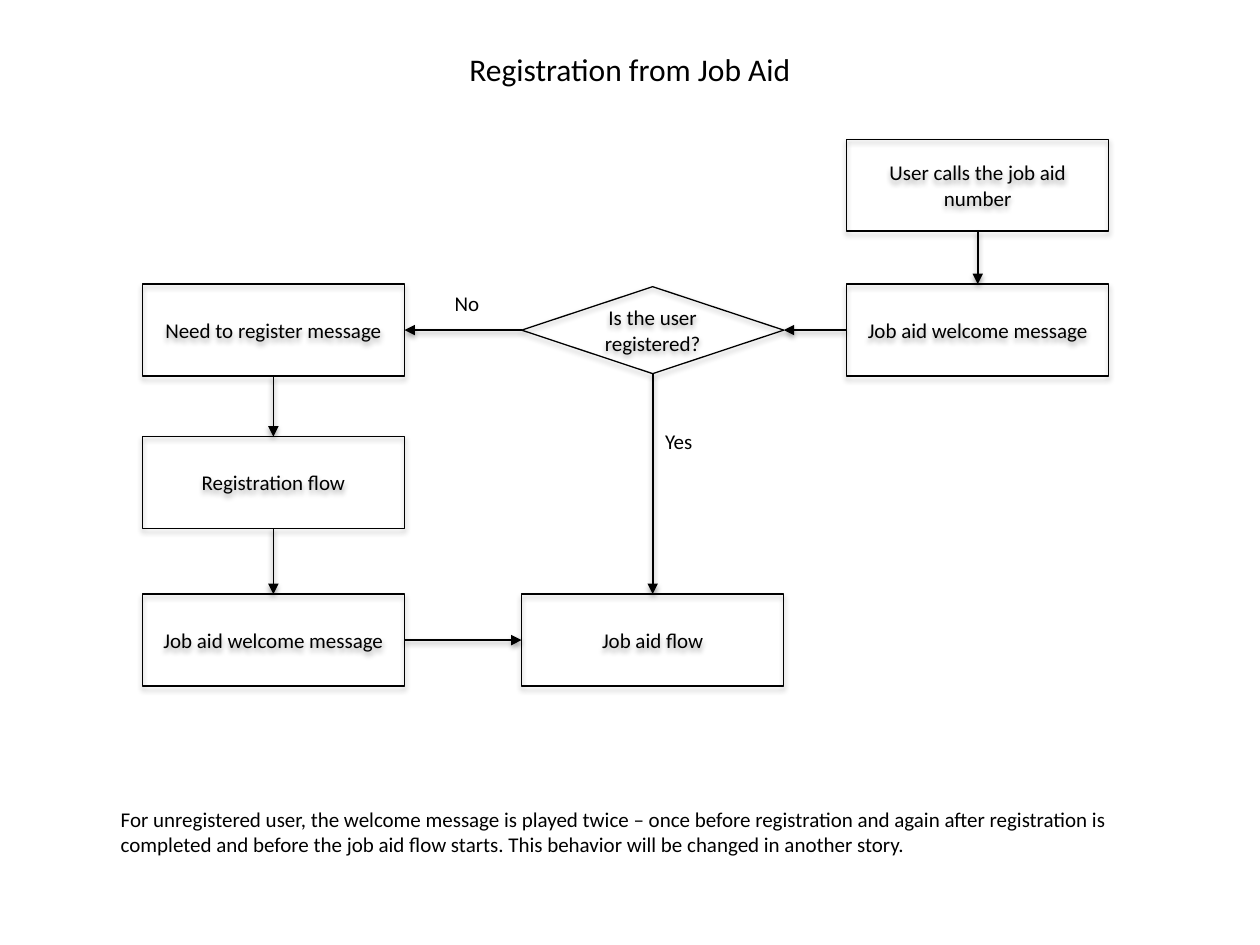
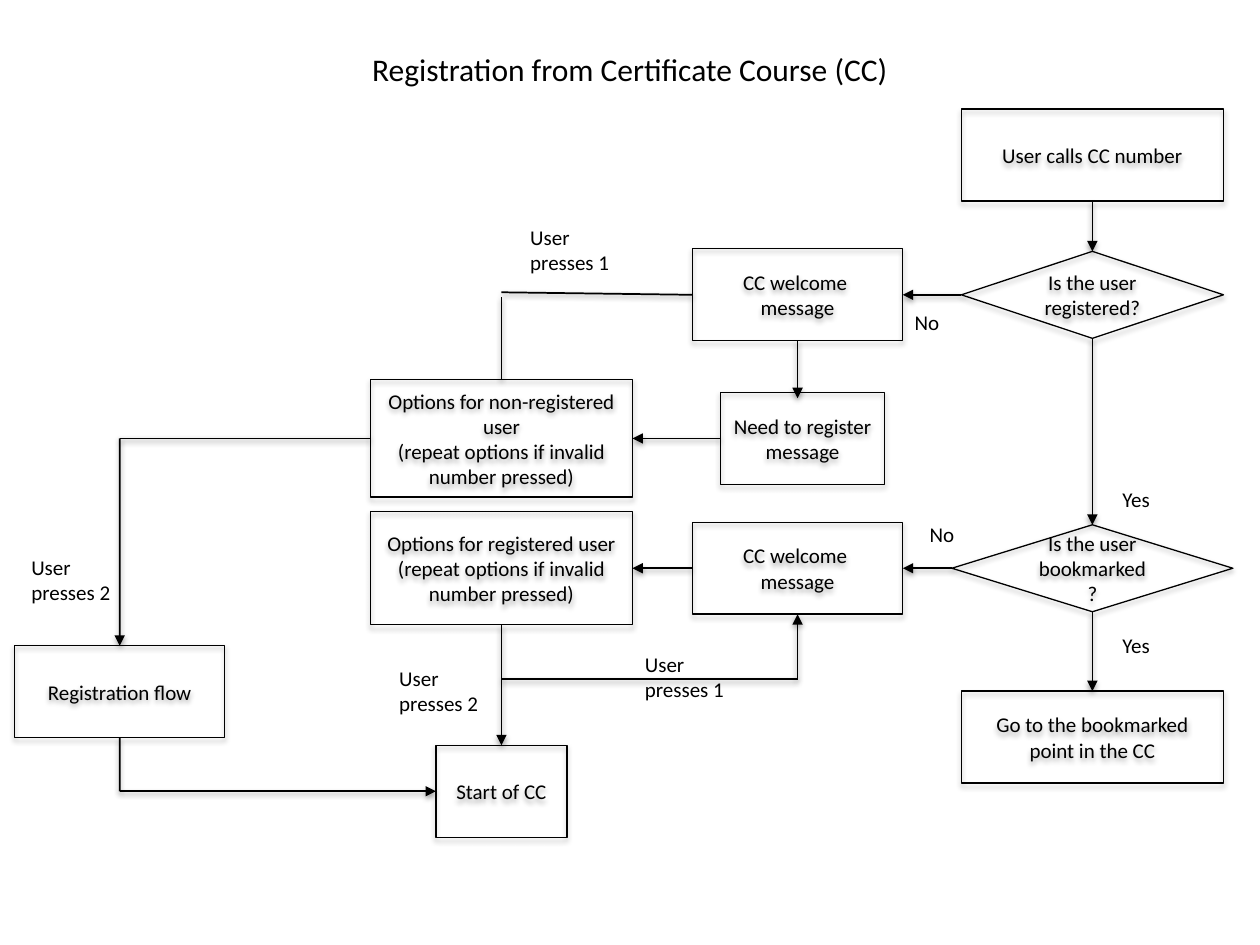
"""Build two flowchart slides that describe how callers register."""
from lxml.etree import SubElement
from pptx import Presentation
from pptx.dml.color import RGBColor
from pptx.enum.shapes import MSO_CONNECTOR, MSO_SHAPE
from pptx.enum.text import MSO_ANCHOR, MSO_AUTO_SIZE, PP_ALIGN
from pptx.oxml.ns import qn
from pptx.util import Inches, Pt

BLACK = RGBColor(0, 0, 0)
FONT = "Calibri"
SLIDE_WIDTH, SLIDE_HEIGHT = 10, 7.5
BOX, DIAMOND = MSO_SHAPE.RECTANGLE, MSO_SHAPE.DIAMOND
WIDE, MEDIUM, NARROW, SMALL = 2.08, 1.67, 1.3, 1.04
BOX_HEIGHT, DIAMOND_HEIGHT = 0.73, 0.69
SITES = {"top": (0, 0, -0.5), "left": (1, -0.5, 0),
         "bottom": (2, 0, 0.5), "right": (3, 0.5, 0)}

JOB_AID = {
    "title": "Registration from Job Aid",
    "columns": {"register": 2.17, "decide": 5.18, "call": 7.76},
    "rows": {"start": 1.47, "check": 2.62, "flow": 3.83, "end": 5.08},
    "nodes": {
        "call": (BOX, "call", "start", WIDE, BOX_HEIGHT, "User calls the job aid number"),
        "welcome": (BOX, "call", "check", WIDE, BOX_HEIGHT, "Job aid welcome message"),
        "registered": (DIAMOND, "decide", "check", WIDE, DIAMOND_HEIGHT, "Is the user registered?"),
        "need": (BOX, "register", "check", WIDE, BOX_HEIGHT, "Need to register message"),
        "registration": (BOX, "register", "flow", WIDE, BOX_HEIGHT, "Registration flow"),
        "welcome again": (BOX, "register", "end", WIDE, BOX_HEIGHT, "Job aid welcome message"),
        "job aid": (BOX, "decide", "end", WIDE, BOX_HEIGHT, "Job aid flow"),
    },
    "arrows": [
        (("call", "bottom"), ("welcome", "top")),
        (("welcome", "left"), ("registered", "right")),
        (("registered", "left"), ("need", "right")),
        (("registered", "bottom"), ("job aid", "top")),
        (("need", "bottom"), ("registration", "top")),
        (("registration", "bottom"), ("welcome again", "top")),
        (("welcome again", "right"), ("job aid", "left")),
    ],
    "lines": [],
    "labels": [
        (5.18, 3.35, 0.69, 0.3, "Yes"),
        (3.51, 2.26, 0.69, 0.3, "No"),
        (0.86, 6.35, 8.25, 0.5,
         "For unregistered user, the welcome message is played twice – once before "
         "registration and again after registration is completed and before the job aid "
         "flow starts. This behavior will be changed in another story."),
    ],
}

COURSE = {
    "title": "Registration from Certificate Course (CC)",
    "columns": {"register": 0.95, "options": 3.98, "message": 6.33, "need": 6.37, "decide": 8.67},
    "rows": {"call": 1.23, "corner": 2.32, "registered": 2.34, "need": 3.48, "bookmarked": 4.51,
             "repeat": 5.39, "registration": 5.49, "bookmark": 5.85, "start": 6.28},
    "nodes": {
        "call": (BOX, "decide", "call", WIDE, BOX_HEIGHT, "User calls CC number"),
        "registered": (DIAMOND, "decide", "registered", WIDE, DIAMOND_HEIGHT,
                       "Is the user registered?"),
        "bookmarked": (DIAMOND, "decide", "bookmarked", 2.23, DIAMOND_HEIGHT,
                       "Is the user bookmarked?"),
        "bookmark": (BOX, "decide", "bookmark", WIDE, BOX_HEIGHT,
                     "Go to the bookmarked point in the CC"),
        "new welcome": (BOX, "message", "registered", MEDIUM, BOX_HEIGHT, "CC welcome \nmessage"),
        "need": (BOX, "need", "need", NARROW, BOX_HEIGHT, "Need to register \nmessage"),
        "welcome": (BOX, "message", "bookmarked", MEDIUM, BOX_HEIGHT, "CC welcome \nmessage"),
        "new options": (BOX, "options", "need", WIDE, 0.93,
                        "Options for non-registered user\n"
                        "(repeat options if invalid number pressed)"),
        "options": (BOX, "options", "bookmarked", WIDE, 0.9,
                    "Options for registered user (repeat options if invalid number pressed)"),
        "registration": (BOX, "register", "registration", MEDIUM, BOX_HEIGHT, "Registration flow"),
        "start": (BOX, "options", "start", SMALL, BOX_HEIGHT, "Start of CC"),
    },
    "arrows": [
        (("call", "bottom"), ("registered", "top")),
        (("registered", "bottom"), ("bookmarked", "top")),
        (("registered", "left"), ("new welcome", "right")),
        (("bookmarked", "left"), ("welcome", "right")),
        (("bookmarked", "bottom"), ("bookmark", "top")),
        (("new welcome", "bottom"), (6.33, 3.16)),
        (("need", "left"), ("new options", "right")),
        (("welcome", "left"), ("options", "right")),
        (("options", "bottom"), ("start", "top")),
        (("register", "need"), ("registration", "top")),
        (("register", "start"), ("start", "left")),
        (("message", "repeat"), ("welcome", "bottom")),
    ],
    "lines": [
        (("new options", "top"), (3.98, 2.36)),
        (("new welcome", "left"), ("options", "corner")),
        (("new options", "left"), ("register", "need")),
        (("registration", "bottom"), ("register", "start")),
        (("message", "repeat"), ("options", "repeat")),
    ],
    "labels": [
        (8.81, 3.81, 0.69, 0.3, "Yes"),
        (8.81, 4.97, 0.69, 0.3, "Yes"),
        (7.16, 2.41, 0.69, 0.3, "No"),
        (7.28, 4.09, 0.69, 0.3, "No"),
        (4.11, 1.73, 0.91, 0.5, "User presses 1"),
        (5.02, 5.12, 0.91, 0.5, "User presses 1"),
        (3.07, 5.23, 0.91, 0.5, "User presses 2"),
        (0.15, 4.35, 0.91, 0.5, "User presses 2"),
    ],
}


def write(shape, text, size=12, align=PP_ALIGN.CENTER, anchor=MSO_ANCHOR.MIDDLE):
    frame = shape.text_frame
    frame.word_wrap = True
    frame.vertical_anchor = anchor
    frame.text = text
    for paragraph in frame.paragraphs:
        paragraph.alignment = align
        font = paragraph.font
        font.name, font.size = FONT, Pt(size)
        font.color.rgb = BLACK
        for run in paragraph.runs:
            run.font.name, run.font.size = FONT, Pt(size)
            run.font.color.rgb = BLACK


def add_text(slide, left, top, width, height, text, **text_format):
    box = slide.shapes.add_textbox(*map(Inches, (left, top, width, height)))
    write(box, text, **text_format)
    return box


def draw_outline(shape, width, shadow_distance, shadow_opacity):
    shape.line.color.rgb = BLACK
    shape.line.width = Pt(width)
    effects = SubElement(shape.element.spPr, qn("a:effectLst"))
    shadow = SubElement(effects, qn("a:outerShdw"), blurRad=str(Pt(3.1)),
                        dist=str(Pt(shadow_distance)), dir="5400000", rotWithShape="0")
    color = SubElement(shadow, qn("a:srgbClr"), val=str(BLACK))
    SubElement(color, qn("a:alpha"), val=str(shadow_opacity * 1000))


def add_node(slide, chart, kind, column, row, width, height, text):
    left = chart["columns"][column] - width / 2
    top = chart["rows"][row] - height / 2
    shape = slide.shapes.add_shape(kind, *map(Inches, (left, top, width, height)))
    shape.fill.background()
    draw_outline(shape, 0.75, 1.8, 35)
    write(shape, text)
    return shape


def find_point(chart, shapes, end):
    place, position = end
    if position in SITES:
        shape = shapes[place]
        _, across, down = SITES[position]
        return (int(shape.left + shape.width * (0.5 + across)),
                int(shape.top + shape.height * (0.5 + down)))
    if place in chart["columns"]:
        return Inches(chart["columns"][place]), Inches(chart["rows"][position])
    return Inches(place), Inches(position)


def add_link(slide, chart, shapes, begin, end, has_arrow):
    points = find_point(chart, shapes, begin) + find_point(chart, shapes, end)
    connector = slide.shapes.add_connector(MSO_CONNECTOR.STRAIGHT, *points)
    for (place, side), connect in ((begin, connector.begin_connect), (end, connector.end_connect)):
        if side in SITES:
            connect(shapes[place], SITES[side][0])
    draw_outline(connector, 1, 1.6, 38)
    if has_arrow:
        SubElement(connector.get_or_add_ln(), qn("a:tailEnd"), type="triangle")


def add_flowchart(presentation, chart):
    slide = presentation.slides.add_slide(presentation.slide_layouts[6])
    add_text(slide, SLIDE_WIDTH * 0.05, SLIDE_HEIGHT * 0.04, SLIDE_WIDTH * 0.9, 0.49,
             chart["title"], size=18)
    shapes = {name: add_node(slide, chart, *node) for name, node in chart["nodes"].items()}
    for group, has_arrow in (("arrows", True), ("lines", False)):
        for begin, end in chart[group]:
            add_link(slide, chart, shapes, begin, end, has_arrow)
    for label in chart["labels"]:
        box = add_text(slide, *label, align=PP_ALIGN.LEFT, anchor=MSO_ANCHOR.TOP)
        box.text_frame.auto_size = MSO_AUTO_SIZE.SHAPE_TO_FIT_TEXT


presentation = Presentation()
presentation.slide_width = Inches(SLIDE_WIDTH)
presentation.slide_height = Inches(SLIDE_HEIGHT)
for flowchart in (JOB_AID, COURSE):
    add_flowchart(presentation, flowchart)
presentation.save("out.pptx")
